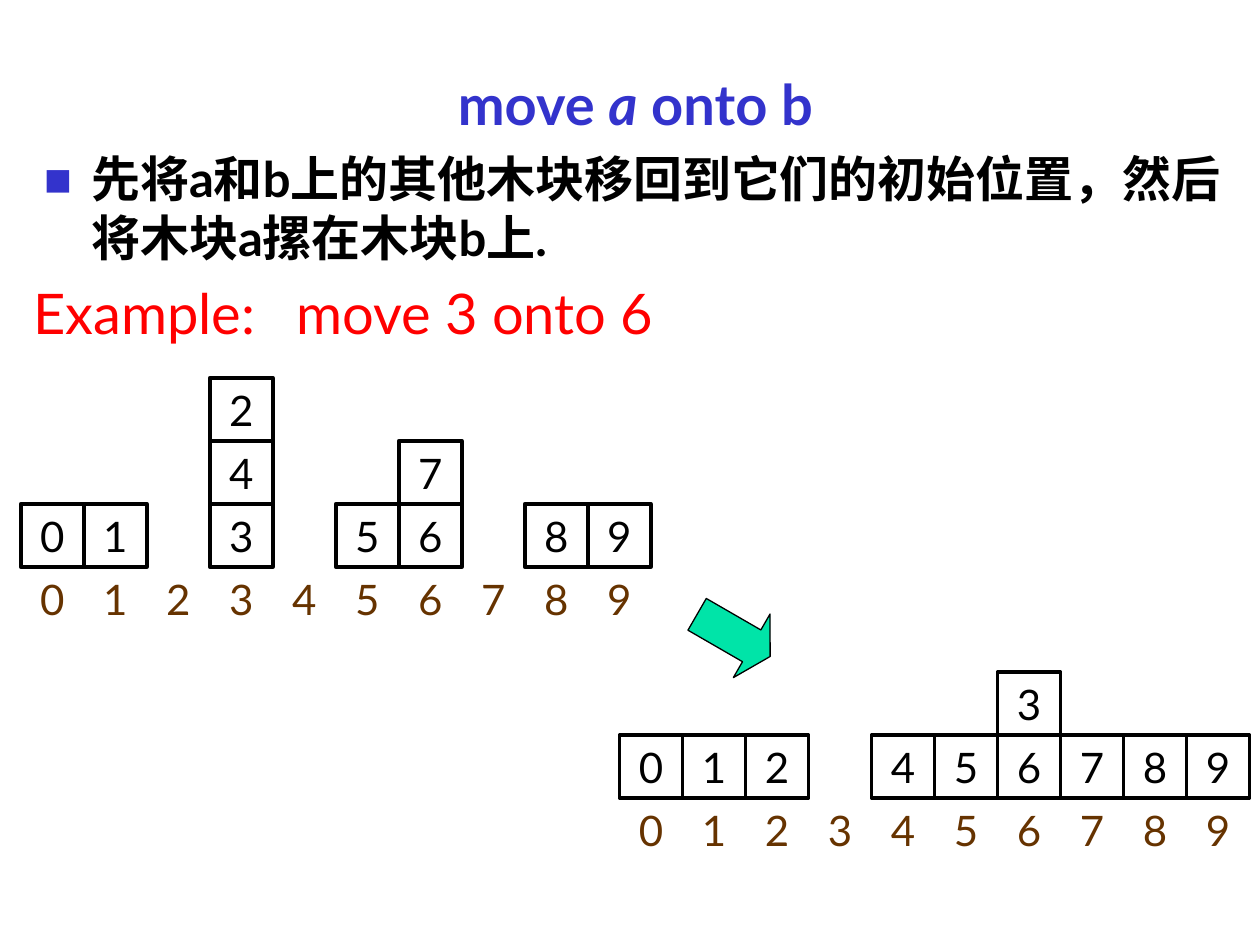
from dataclasses import dataclass

from lxml.etree import SubElement
from pptx import Presentation
from pptx.dml.color import RGBColor
from pptx.enum.shapes import MSO_SHAPE
from pptx.enum.text import MSO_ANCHOR, PP_ALIGN
from pptx.oxml.ns import qn
from pptx.util import Cm, Pt

COLORS = {
    "title": "3333CC",
    "block": "000000",
    "position": "663300",
    "example": "FF0000",
    "arrow": "00E4A8",
}
FONT = "Lato"
BLOCK_SIDE = 1.27
HANGING_INDENT = 0.95


@dataclass(frozen=True)
class BlockWorld:
    left: float
    floor: float
    stacks: tuple[str, ...]


BEFORE = BlockWorld(0.42, 11.43, ("0", "1", "", "342", "", "5", "67", "", "8", "9"))
AFTER = BlockWorld(12.49, 16.09, ("0", "1", "2", "", "4", "5", "63", "7", "8", "9"))


def rgb(color: str) -> RGBColor:
    return RGBColor.from_string(COLORS[color])


def add_text(paragraph, text: str, *, size: float, color: str,
             bold: bool = False, italic: bool = False, align=PP_ALIGN.LEFT) -> None:
    paragraph.alignment = align
    run = paragraph.add_run()
    run.text = text
    run.font.name = FONT
    run.font.size = Pt(size)
    run.font.bold = bold
    run.font.italic = italic
    run.font.color.rgb = rgb(color)


def add_text_frame(slide, left: float, top: float, width: float, height: float):
    box = slide.shapes.add_textbox(Cm(left), Cm(top), Cm(width), Cm(height))
    box.text_frame.word_wrap = True
    return box.text_frame


def set_hanging_bullet(paragraph) -> None:
    properties = paragraph._p.get_or_add_pPr()
    properties.set("marL", str(Cm(HANGING_INDENT)))
    properties.set("indent", str(-Cm(HANGING_INDENT)))
    bullet_color = SubElement(properties, qn("a:buClr"))
    SubElement(bullet_color, qn("a:srgbClr"), val=COLORS["title"])
    SubElement(properties, qn("a:buSzPct"), val="60000")
    SubElement(properties, qn("a:buFont"), typeface=FONT)
    SubElement(properties, qn("a:buChar"), char="■")


def set_tab_stop(paragraph, position: float) -> None:
    tab_list = SubElement(paragraph._p.get_or_add_pPr(), qn("a:tabLst"))
    SubElement(tab_list, qn("a:tab"), pos=str(Cm(position)), algn="l")


def add_digit(frame, digit: str, color: str) -> None:
    frame.word_wrap = False
    frame.vertical_anchor = MSO_ANCHOR.MIDDLE
    add_text(frame.paragraphs[0], digit, size=24, color=color, align=PP_ALIGN.CENTER)


def draw_block(slide, left: float, top: float, digit: str) -> None:
    block = slide.shapes.add_shape(
        MSO_SHAPE.RECTANGLE, Cm(left), Cm(top), Cm(BLOCK_SIDE), Cm(BLOCK_SIDE))
    block.shadow.inherit = False
    block.fill.background()
    block.line.color.rgb = rgb("block")
    block.line.width = Pt(2.25)
    add_digit(block.text_frame, digit, "block")


def draw_world(slide, world: BlockWorld) -> None:
    for position, stack in enumerate(world.stacks):
        left = world.left + position * BLOCK_SIDE
        for level, digit in enumerate(stack, start=1):
            draw_block(slide, left, world.floor - level * BLOCK_SIDE, digit)
        position_label = add_text_frame(slide, left, world.floor, BLOCK_SIDE, BLOCK_SIDE)
        add_digit(position_label, str(position), "position")


def draw_rule(slide) -> None:
    rule = add_text_frame(slide, 0.64, 1.27, 24.34, 5.29)
    title = rule.paragraphs[0]
    for part, italic in (("move ", False), ("a", True), (" onto b", False)):
        add_text(title, part, size=32, color="title", bold=True, italic=italic,
                 align=PP_ALIGN.CENTER)
    explanation = rule.add_paragraph()
    set_hanging_bullet(explanation)
    explanation.space_before = Pt(7)
    add_text(explanation, "先将a和b上的其他木块移回到它们的初始位置，然后将木块a摞在木块b上.",
             size=28, color="block", bold=True)


def draw_example(slide) -> None:
    example = add_text_frame(slide, 0.42, 5.5, 20.32, 1.9).paragraphs[0]
    set_tab_stop(example, 5.3)
    add_text(example, "Example:\tmove 3 onto 6", size=32, color="example")


def draw_arrow(slide) -> None:
    arrow = slide.shapes.add_shape(
        MSO_SHAPE.RIGHT_ARROW, Cm(13.94), Cm(12.07), Cm(1.7), Cm(1.48))
    arrow.adjustments[0] = 0.5
    arrow.adjustments[1] = 0.29
    arrow.rotation = 30
    arrow.shadow.inherit = False
    arrow.fill.solid()
    arrow.fill.fore_color.rgb = rgb("arrow")
    arrow.line.color.rgb = rgb("block")
    arrow.line.width = Pt(0.75)


def main() -> None:
    presentation = Presentation()
    presentation.slide_width = Cm(25.4)
    presentation.slide_height = Cm(19.05)
    slide = presentation.slides.add_slide(presentation.slide_layouts[6])
    draw_rule(slide)
    draw_world(slide, BEFORE)
    draw_example(slide)
    draw_world(slide, AFTER)
    draw_arrow(slide)
    presentation.save("out.pptx")


if __name__ == "__main__":
    main()
